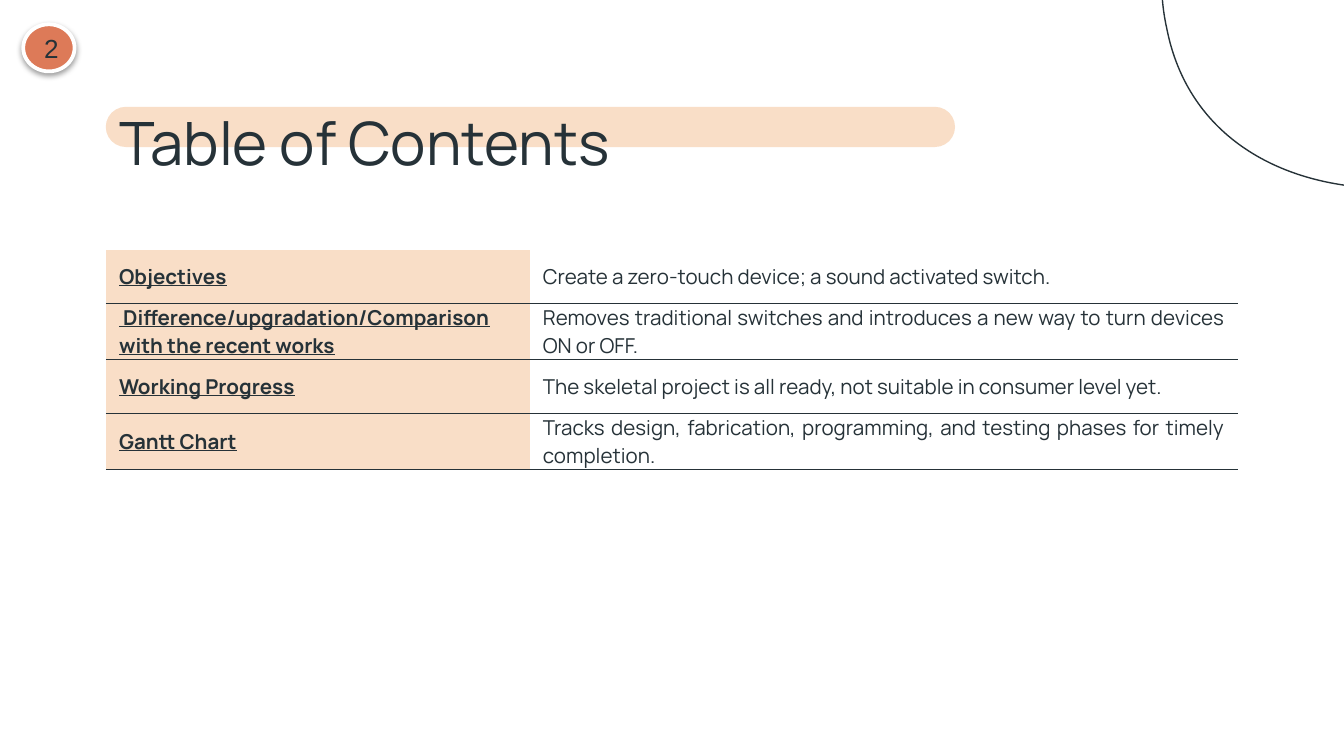
from lxml import etree
from pptx import Presentation
from pptx import util as u
from pptx.dml.color import RGBColor
from pptx.enum import shapes, text
from pptx.oxml import ns

COLORS = {"ink": "263238", "peach": "F9DEC7", "orange": "DD7A58", "white": "FFFFFF"}
FONT = "Manrope"


def rgb(name):
    return RGBColor.from_string(COLORS[name])


def write(frame, content, size, font=FONT, bold=False, underline=False,
          align=text.PP_ALIGN.LEFT, after=0):
    paragraph = frame.paragraphs[0]
    paragraph.alignment = align
    paragraph.space_after = u.Pt(after)
    run = paragraph.add_run()
    run.text = content
    run.font.name = font
    run.font.size = u.Pt(size)
    run.font.bold = bold
    run.font.underline = underline
    run.font.color.rgb = rgb("ink")


presentation = Presentation()
presentation.slide_width = u.Cm(25.4)
presentation.slide_height = u.Cm(14.29)
slide = presentation.slides.add_slide(presentation.slide_layouts[6])

# Title highlight
highlight = slide.shapes.add_shape(
    shapes.MSO_SHAPE.ROUNDED_RECTANGLE, u.Cm(2), u.Cm(2.02), u.Cm(16.05), u.Cm(0.76))
highlight.adjustments[0] = 0.5
highlight.shadow.inherit = False
highlight.fill.solid()
highlight.fill.fore_color.rgb = rgb("peach")
highlight.line.fill.background()

# Corner blob: cubic curves in centimetres, each two handles and an end point
start = (30.76, -4.7)
curves = [
    ((30.56, -4.7), (30.3, -4.62), (30.05, -4.5)),
    ((29.06, -3.99), (28.98, -2.87), (27.64, -2.82)),
    ((27.51, -2.79), (27.38, -2.79), (27.25, -2.79)),
    ((26.62, -2.79), (26.01, -2.87), (25.45, -2.87)),
    ((24.77, -2.87), (24.08, -2.77), (23.32, -2.36)),
    ((22.05, -1.68), (21.79, -0.66), (22.05, 0.53)),
    ((22.45, 2.59), (24.23, 3.56), (26.26, 3.56)),
    ((27.15, 3.56), (28.07, 3.38), (28.93, 3.05)),
    ((31.72, 1.98), (33.02, -0.51), (32.39, -2.97)),
    ((32.21, -3.71), (31.67, -4.7), (30.76, -4.7)),
]
builder = slide.shapes.build_freeform(u.Cm(start[0]), u.Cm(start[1]))
builder.add_line_segments(
    [(u.Cm(x), u.Cm(y)) for curve in curves for x, y in curve], close=True)
blob = builder.convert_to_shape()
# Each three straight segments become one curve
segments = list(blob._element.iter(ns.qn("a:lnTo")))
for index in range(0, len(segments), 3):
    curve = etree.Element(ns.qn("a:cubicBezTo"))
    segments[index].addprevious(curve)
    for segment in segments[index:index + 3]:
        curve.append(segment[0])
        segment.getparent().remove(segment)
blob.shadow.inherit = False
blob.fill.background()
blob.line.color.rgb = rgb("ink")
blob.line.width = u.Pt(0.75)

# Title
title = slide.shapes.add_textbox(u.Cm(2), u.Cm(1.75), u.Cm(21.41), u.Cm(1.7))
frame = title.text_frame
frame.word_wrap = True
frame.margin_left = frame.margin_right = frame.margin_top = frame.margin_bottom = u.Cm(0.25)
write(frame, "Table of Contents", 32)

# Contents table
rows = [
    ("Objectives", "Create a zero-touch device; a sound activated switch."),
    (" Difference/upgradation/Comparison with the recent works",
     "Removes traditional switches and introduces a new way to turn devices ON or OFF."),
    ("Working Progress",
     "The skeletal project is all ready, not suitable in consumer level yet."),
    ("Gantt Chart",
     "Tracks design, fabrication, programming, and testing phases for timely completion."),
]
row_heights = [1.01, 1.07, 1.01, 1.07]
table = slide.shapes.add_table(
    len(rows), 2, u.Cm(2), u.Cm(4.72), u.Cm(21.4), u.Cm(sum(row_heights))).table
table.first_row = False
table.horz_banding = False
style = table._tbl.tblPr.find(ns.qn("a:tableStyleId"))
style.text = "{2D5ABB26-0587-4C30-8999-92F81FD0307C}"  # no style, no grid
table.columns[0].width = u.Cm(8.01)
table.columns[1].width = u.Cm(13.39)
for row_index, row in enumerate(rows):
    table.rows[row_index].height = u.Cm(row_heights[row_index])
    for column_index, content in enumerate(row):
        cell = table.cell(row_index, column_index)
        cell.vertical_anchor = text.MSO_ANCHOR.MIDDLE
        cell.margin_left = cell.margin_right = u.Cm(0.25)
        cell.margin_top = cell.margin_bottom = 0
        if column_index == 0:
            cell.fill.solid()
            cell.fill.fore_color.rgb = rgb("peach")
            write(cell.text_frame, content, 11, bold=True, underline=True)
        else:
            cell.fill.background()
            write(cell.text_frame, content, 11, align=text.PP_ALIGN.JUSTIFY, after=16)
        sides = ["lnB"] if row_index == 0 else ["lnT", "lnB"]
        for position, side in enumerate(sides):
            border = etree.Element(ns.qn(f"a:{side}"), w=str(u.Pt(0.75)))
            fill = etree.SubElement(border, ns.qn("a:solidFill"))
            etree.SubElement(fill, ns.qn("a:srgbClr"), val=COLORS["ink"])
            cell._tc.get_or_add_tcPr().insert(position, border)

# Slide number badge
badge = slide.shapes.add_shape(
    shapes.MSO_SHAPE.OVAL, u.Cm(0.44), u.Cm(0.46), u.Cm(0.97), u.Cm(0.89))
badge.fill.solid()
badge.fill.fore_color.rgb = rgb("orange")
badge.line.color.rgb = rgb("white")
badge.line.width = u.Pt(2)
badge.shadow.inherit = False
effects = badge._element.spPr.find(ns.qn("a:effectLst"))
shadow = etree.SubElement(effects, ns.qn("a:outerShdw"), blurRad=str(u.Pt(3.1)),
                          dist=str(u.Pt(1.6)), dir="5400000", rotWithShape="0")
shadow_color = etree.SubElement(shadow, ns.qn("a:srgbClr"), val="000000")
etree.SubElement(shadow_color, ns.qn("a:alpha"), val="38000")
frame = badge.text_frame
frame.word_wrap = False
frame.vertical_anchor = text.MSO_ANCHOR.MIDDLE
frame.margin_left = u.Cm(0.1)
frame.margin_right = frame.margin_top = frame.margin_bottom = 0
write(frame, "2", 14, font="Arial", align=text.PP_ALIGN.CENTER)

presentation.save("out.pptx")
